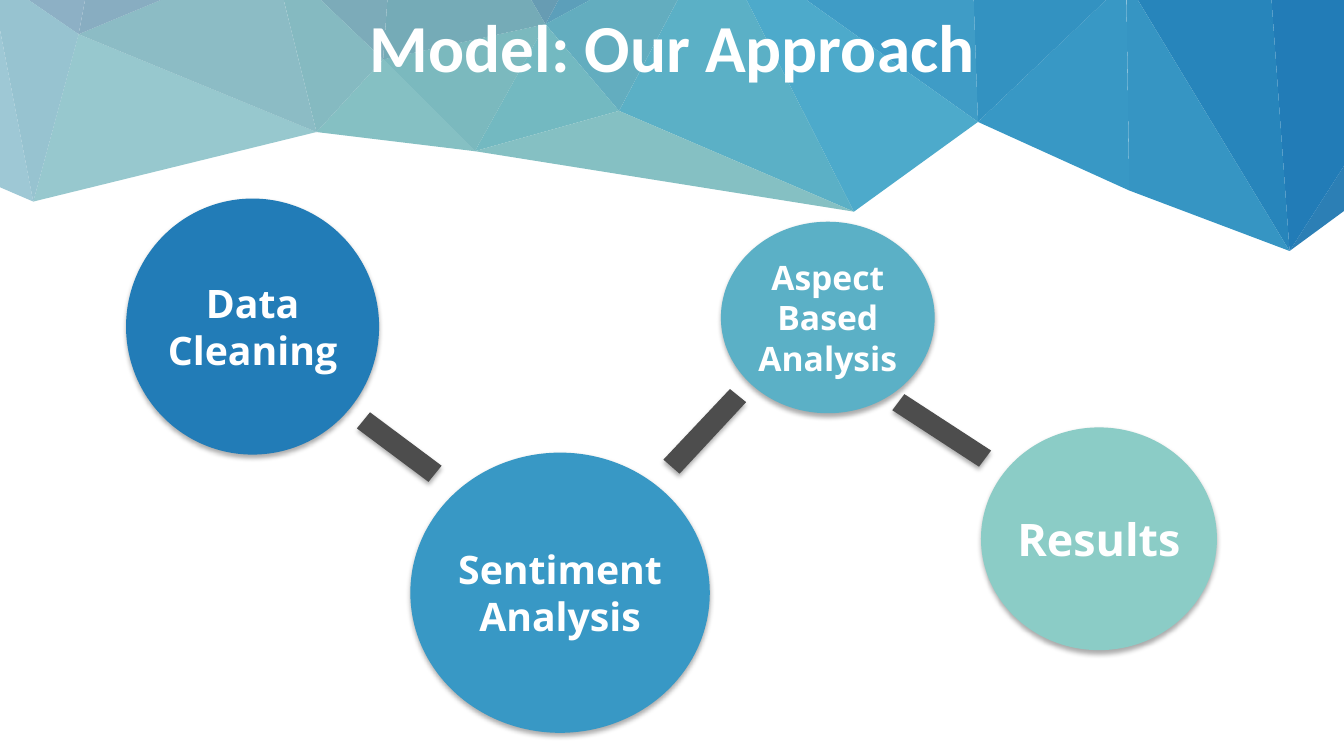
from lxml.etree import SubElement
from pptx import Presentation
from pptx.dml.color import RGBColor
from pptx.enum.shapes import MSO_SHAPE
from pptx.enum.text import MSO_ANCHOR, MSO_AUTO_SIZE, PP_ALIGN
from pptx.oxml.ns import qn
from pptx.util import Inches, Pt

WHITE = "FFFFFF"
BAR_GRAY = "4D4D4D"

MESH_POINTS = {
    "A": (14.6, 1.16), "B": (14.39, -0.01), "C": (12.79, 2.49), "D": (12.54, -0.99),
    "E": (11.17, -0.19), "F": (11.2, 1.89), "G": (9.7, 1.21), "H": (9.63, -0.79),
    "I": (7.07, -0.66), "J": (8.47, 2.1), "K": (6.14, 1.1), "L": (6.67, -2.1),
    "M": (5.41, 0.24), "N": (4, -2.18), "O": (4.71, 1.5), "P": (3.8, 0.59),
    "Q": (2.7, -0.46), "R": (3.14, 1.31), "S": (0.78, 0.34), "T": (0.33, 2),
    "U": (1.29, -2.39), "V": (-0.11, -0.27), "W": (-1.44, 1.24),
}

MESH_FACETS = [
    ("ABC", "2C7FB5"), ("BDC", "227CB7"), ("CDE", "2785BB"), ("CEF", "3695C3"),
    ("FEG", "3898C5"), ("EHG", "3392C1"), ("GHI", "3F9CC6"), ("GIJ", "4DAACB"),
    ("JIK", "5BB0C6"), ("ILM", "5C9FBA"), ("IMK", "63ADBF"), ("LNM", "679CB3"),
    ("KMO", "73B9C1"), ("MPO", "7BB9BE"), ("MNP", "75ABB7"), ("NQP", "7CABB9"),
    ("OPR", "85C0C3"), ("PQR", "85BAC1"), ("RST", "97C8CE"), ("RQS", "8CBCC5"),
    ("QUS", "88ADC1"), ("UVS", "8DB0C5"), ("TVW", "9EC8D5"), ("SVT", "97C3D0"),
    ("JOK", "85C0C3"),
]

STEPS = [
    ("Data Cleaning", 1.25, 1.97, 2.51, 2.54, "227CB7", 28),
    ("Sentiment Analysis", 4.07, 4.49, 2.97, 2.78, "3898C5", 28),
    ("Aspect Based Analysis", 7.15, 2.2, 2.12, 1.9, "5BB0C6", 24),
    ("Results", 9.73, 4.24, 2.34, 2.21, "8BCCC6", 32),
]

BARS = [
    [(4.38, 4.62), (3.67, 4.09), (3.54, 4.25), (4.25, 4.78)],
    [(7.24, 3.86), (6.58, 4.56), (6.74, 4.7), (7.4, 3.99)],
    [(9.83, 4.47), (8.97, 3.91), (8.85, 4.07), (9.71, 4.63)],
]


def paint(shape, color):
    shape.shadow.inherit = False
    shape.fill.solid()
    shape.fill.fore_color.rgb = RGBColor.from_string(color)
    shape.line.fill.background()


def add_soft_shadow(shape):
    effects = shape._element.spPr.find(qn("a:effectLst"))
    shadow = SubElement(effects, qn("a:outerShdw"), blurRad=str(Pt(3.5)),
                        dist=str(Pt(2.2)), dir="5400000", algn="t", rotWithShape="0")
    shade = SubElement(shadow, qn("a:srgbClr"), val="000000")
    SubElement(shade, qn("a:alpha"), val="32000")


def add_polygon(slide, points, color):
    corners = [(Inches(x), Inches(y)) for x, y in points]
    builder = slide.shapes.build_freeform(*corners[0])
    builder.add_line_segments(corners[1:], close=True)
    polygon = builder.convert_to_shape()
    paint(polygon, color)
    return polygon


def write_text(frame, text, size, font_name):
    paragraph = frame.paragraphs[0]
    paragraph.alignment = PP_ALIGN.CENTER
    run = paragraph.add_run()
    run.text = text
    run.font.name = font_name
    run.font.size = Pt(size)
    run.font.bold = True
    run.font.color.rgb = RGBColor.from_string(WHITE)


def add_step(slide, text, left, top, width, height, color, size):
    circle = slide.shapes.add_shape(MSO_SHAPE.OVAL, Inches(left), Inches(top),
                                    Inches(width), Inches(height))
    paint(circle, color)
    add_soft_shadow(circle)
    frame = circle.text_frame
    frame.word_wrap = True
    frame.vertical_anchor = MSO_ANCHOR.MIDDLE
    frame.margin_left = frame.margin_right = 0
    frame.margin_top = frame.margin_bottom = 0
    write_text(frame, text, size, "Open Sans")


def place_title(slide, text):
    title = slide.shapes.title
    title.left, title.top = Inches(2.01), Inches(0)
    title.width, title.height = Inches(9.32), Inches(0.91)
    frame = title.text_frame
    frame.word_wrap = True
    frame.auto_size = MSO_AUTO_SIZE.SHAPE_TO_FIT_TEXT
    frame.vertical_anchor = MSO_ANCHOR.TOP
    write_text(frame, text, 48, "Calibri")
    slide.shapes._spTree.append(title._element)


def main():
    """Build the approach slide: faceted banner, title and four linked steps."""
    presentation = Presentation()
    presentation.slide_width = Inches(13.33)
    presentation.slide_height = Inches(7.5)
    slide = presentation.slides.add_slide(presentation.slide_layouts[5])

    for corners, color in MESH_FACETS:
        add_polygon(slide, [MESH_POINTS[corner] for corner in corners], color)
    place_title(slide, "Model: Our Approach")
    for step in STEPS:
        add_step(slide, *step)
    for corners in BARS:
        add_soft_shadow(add_polygon(slide, corners, BAR_GRAY))

    presentation.save("out.pptx")


if __name__ == "__main__":
    main()
